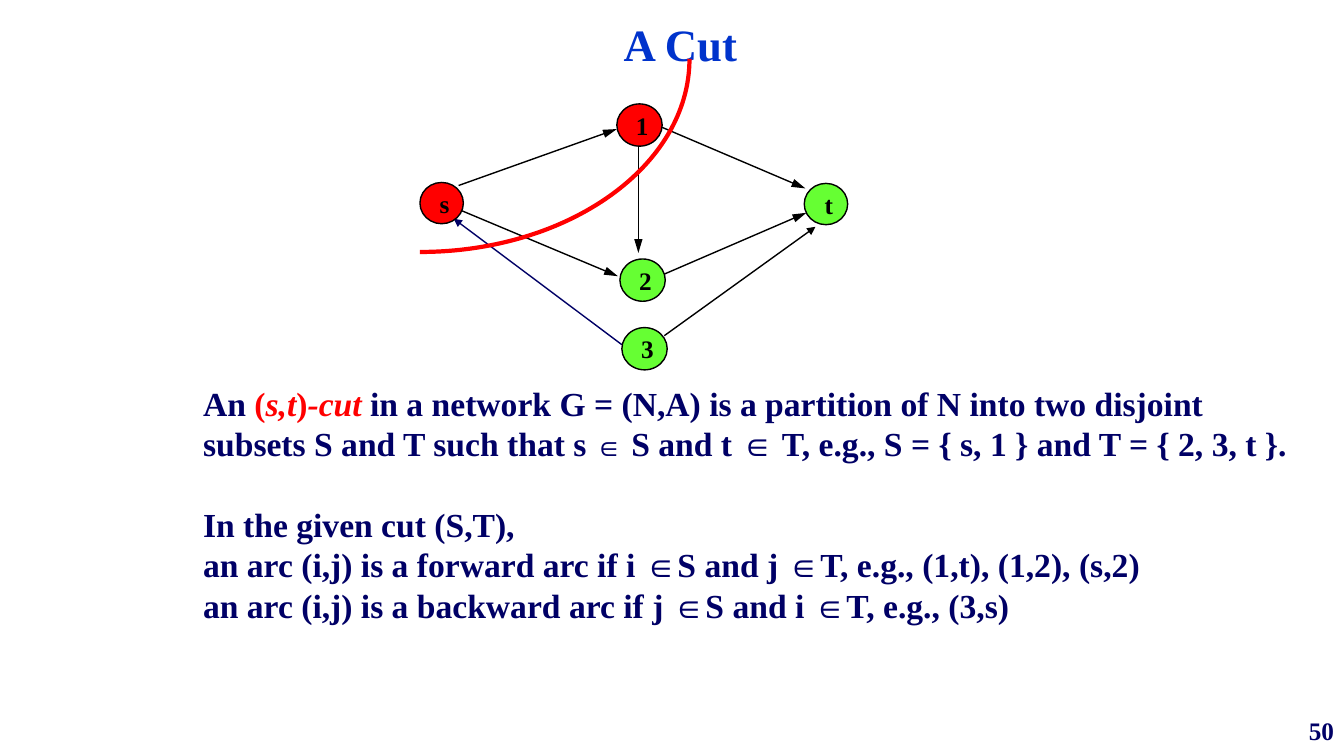
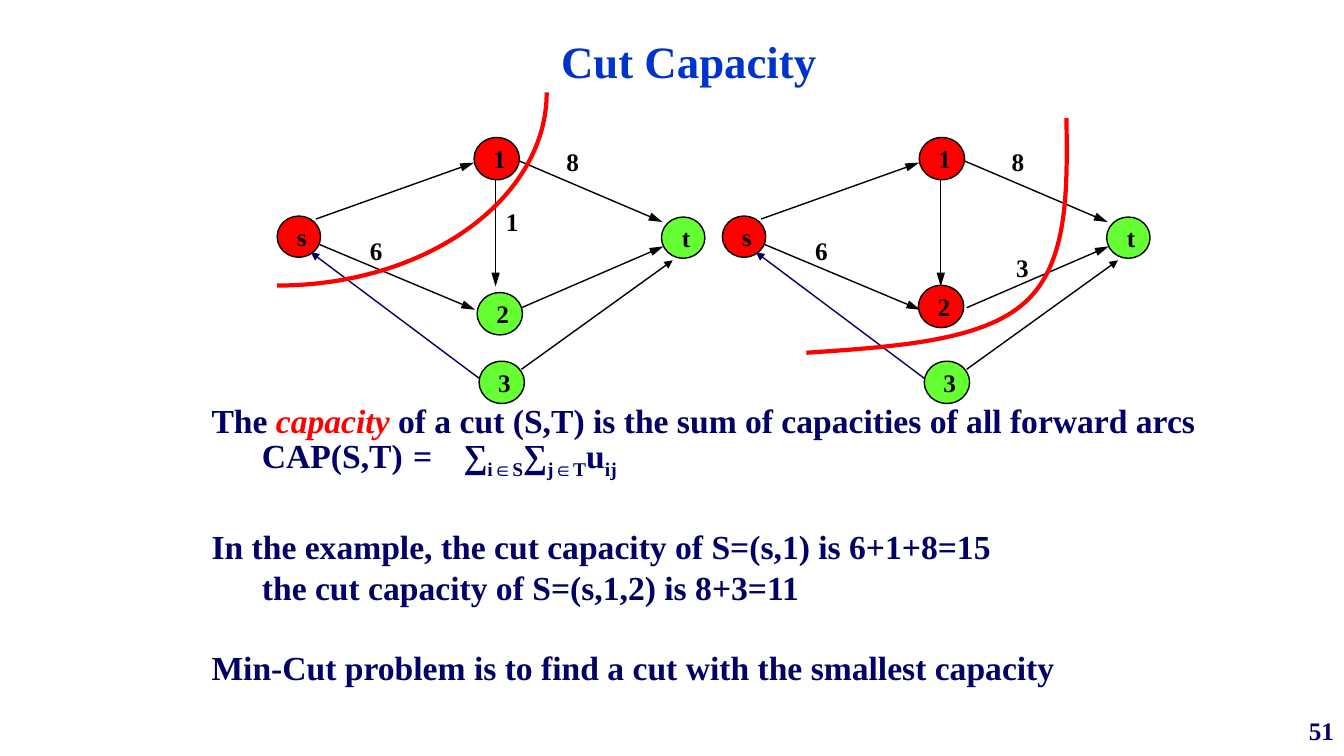
from lxml import etree
from pptx import Presentation
from pptx.dml.color import RGBColor
from pptx.enum import shapes, text
from pptx.oxml.ns import qn
from pptx.util import Pt

NAVY = RGBColor(0x00, 0x00, 0x66)
BLUE = RGBColor(0x00, 0x33, 0xCC)
RED = RGBColor(0xFF, 0x00, 0x00)
GREEN = RGBColor(0x66, 0xFF, 0x33)
BLACK = RGBColor(0x00, 0x00, 0x00)
FONT = "Times New Roman"

# Network layout, relative to the top left corner of each graph
NODES = {  # left, top, width, height
    "s": (0, 88.3, 31, 29.5),
    "1": (140.6, 32.2, 32.4, 30.2),
    "2": (142.8, 143, 32.4, 30.2),
    "t": (274.5, 89, 31, 29.5),
    "3": (144.2, 192, 32.4, 30.2),
}
ARCS = [  # x1, y1, x2, y2, colour, arrowhead length
    (27.6, 90.5, 140.6, 50.2, BLACK, "lg"),
    (29.8, 108.5, 141.4, 155.3, BLACK, "lg"),
    (172.3, 48.7, 275.3, 92.6, BLACK, "lg"),
    (174.5, 153.8, 276, 110, BLACK, "lg"),
    (156, 62.4, 156, 138.7, BLACK, "lg"),
    (174.5, 197.8, 282.5, 120, BLACK, "med"),
    (144.2, 204.2, 24, 114.2, NAVY, "med"),
]
# Start point, then three points for each Bezier segment
CUT_S1 = [(0, 138), (106, 138), (192.5, 76.5), (192.5, 0)]
CUT_S12 = [(245.8, 18.2), (246.5, 70), (247.2, 122), (216.2, 150),
           (185.3, 178), (122.6, 181.7), (60, 186)]
RED_ITALIC = {"color": RED, "italic": True}
SUBSCRIPT = {"baseline": -25000}

SLIDES = [
    {
        "number": "50",
        "title": ("A Cut", (150, 12, 672, 42)),
        "graphs": [
            {"origin": (300, 42), "source_side": "s1", "moved": {},
             "cut": CUT_S1, "capacities": []},
        ],
        "body_box": (138, 270, 798, 181),
        "body": [  # space before, runs
            (0, [("An ", {}), ("(", {"color": RED}), ("s,t", RED_ITALIC),
                 (")", {"color": RED}), ("-cut", RED_ITALIC),
                 (" in a network G = (N,A) is a partition of N into two disjoint "
                  "subsets S and T such that s ", {}),
                 ("∈", {"size": 20}),
                 (" S and t ∈ T, e.g., S = { s, 1 } and T = { 2, 3, t }.", {})]),
            (28.8, [("In the given cut (S,T),", {})]),
            (0, [("an arc (i,j) is a forward arc if i ∈S and j ∈T, "
                  "e.g., (1,t), (1,2), (s,2)", {})]),
            (0, [("an arc (i,j) is a backward arc if j ∈S and i ∈T, e.g., (3,s)", {})]),
        ],
    },
    {
        "number": "51",
        "title": ("Cut Capacity", (44, 24, 896, 42)),
        "graphs": [
            {"origin": (198, 66), "source_side": "s1", "moved": {}, "cut": CUT_S1,
             "capacities": [("8", 206.6, 38.4), ("1", 163.4, 81.6), ("6", 66.2, 101.8)]},
            {"origin": (516, 66), "source_side": "s12",
             "moved": {"2": (140, 137.8, 32.4, 30.2)}, "cut": CUT_S12,
             "capacities": [("8", 206.6, 38.4), ("3", 209.8, 114), ("6", 66.2, 101.8)]},
        ],
        "body_box": (144, 282, 732, 211),
        "body": [
            (0, [("The ", {}), ("capacity", RED_ITALIC),
                 (" of a cut (S,T) is the sum of capacities of all forward arcs", {})]),
            (0, [("\tCAP(S,T)\t=\t∑", {}), ("i∈S", SUBSCRIPT), ("∑", {}),
                 ("j∈T", SUBSCRIPT), ("u", {}), ("ij", SUBSCRIPT)]),
            (32.8, [("In the example, the cut capacity of S=(s,1) is 6+1+8=15", {})]),
            (0, [("\tthe cut capacity of S=(s,1,2) is 8+3=11", {})]),
            (28.8, [("Min-Cut problem is to find a cut with the smallest capacity", {})]),
        ],
    },
]


def write_text(shape, paragraphs, size=18, color=BLACK, align=text.PP_ALIGN.LEFT,
               anchor=text.MSO_ANCHOR.TOP, insets=(0, 0, 0, 0), wrap=False, spacing=None):
    """Fill a shape with (space before, [(text, format), ...]) paragraphs."""
    frame = shape.text_frame
    frame.word_wrap = wrap
    frame.vertical_anchor = anchor
    (frame.margin_left, frame.margin_top,
     frame.margin_right, frame.margin_bottom) = map(Pt, insets)
    for index, (space_before, runs) in enumerate(paragraphs):
        paragraph = frame.add_paragraph() if index else frame.paragraphs[0]
        paragraph.alignment = align
        paragraph.space_before = Pt(space_before)
        if spacing:
            paragraph.line_spacing = Pt(spacing)
        for content, style in runs:
            run = paragraph.add_run()
            run.text = content
            run.font.name = FONT
            run.font.bold = True
            run.font.size = Pt(style.get("size", size))
            run.font.italic = style.get("italic", False)
            run.font.color.rgb = style.get("color", color)
            if "baseline" in style:
                run._r.get_or_add_rPr().set("baseline", str(style["baseline"]))


def draw_curve(slide, points, color, width):
    """Draw an open Bezier curve: a start point, then three points per segment."""
    (start_x, start_y), *others = [(Pt(x), Pt(y)) for x, y in points]
    builder = slide.shapes.build_freeform(start_x, start_y)
    builder.add_line_segments(others, close=False)
    shape = builder.convert_to_shape()
    outline = next(shape._element.iter(qn("a:path")))
    segments = outline.findall(qn("a:lnTo"))
    for first in range(0, len(segments), 3):
        curve = etree.SubElement(outline, qn("a:cubicBezTo"))
        for segment in segments[first:first + 3]:
            curve.append(segment[0])
            outline.remove(segment)
    shape.fill.background()
    shape.line.color.rgb = color
    shape.line.width = Pt(width)
    shape.shadow.inherit = False


presentation = Presentation()
presentation.slide_width = Pt(960)
presentation.slide_height = Pt(540)

for content in SLIDES:
    slide = presentation.slides.add_slide(presentation.slide_layouts[6])

    number_box = slide.shapes.add_textbox(Pt(776), Pt(504), Pt(184), Pt(36))
    write_text(number_box, [(0, [(content["number"], {})])], color=NAVY, wrap=True,
               align=text.PP_ALIGN.RIGHT, anchor=text.MSO_ANCHOR.MIDDLE,
               insets=(7.2, 3.6, 7.2, 3.6))

    title, title_box = content["title"]
    write_text(slide.shapes.add_textbox(*map(Pt, title_box)), [(0, [(title, {})])],
               size=32, color=BLUE, align=text.PP_ALIGN.CENTER, wrap=True,
               anchor=text.MSO_ANCHOR.BOTTOM, insets=(7.2, 3.6, 7.2, 3.6))

    for graph in content["graphs"]:
        left, top = graph["origin"]

        for x1, y1, x2, y2, color, head_length in ARCS:
            arc = slide.shapes.add_connector(
                shapes.MSO_CONNECTOR.STRAIGHT,
                Pt(left + x1), Pt(top + y1), Pt(left + x2), Pt(top + y2))
            arc.line.color.rgb = color
            arc.line.width = Pt(1)
            etree.SubElement(arc.line._get_or_add_ln(), qn("a:tailEnd"),
                             type="triangle", w="med", len=head_length)
            etree.SubElement(arc._element.spPr, qn("a:effectLst"))

        for name, (x, y, width, height) in {**NODES, **graph["moved"]}.items():
            node = slide.shapes.add_shape(shapes.MSO_SHAPE.OVAL, Pt(left + x), Pt(top + y),
                                          Pt(width), Pt(height))
            node.fill.solid()
            node.fill.fore_color.rgb = RED if name in graph["source_side"] else GREEN
            node.line.color.rgb = BLACK
            node.line.width = Pt(1)
            node.shadow.inherit = False
            write_text(node, [(0, [(name, {})])], align=text.PP_ALIGN.CENTER, wrap=True,
                       anchor=text.MSO_ANCHOR.MIDDLE, insets=(4, 0, 0, 0))

        for capacity, x, y in graph["capacities"]:
            label = slide.shapes.add_textbox(Pt(left + x), Pt(top + y), Pt(9.4), Pt(28.8))
            write_text(label, [(0, [(capacity, {})])])

        draw_curve(slide, [(left + x, top + y) for x, y in graph["cut"]], RED, 3)

    body = slide.shapes.add_textbox(*map(Pt, content["body_box"]))
    write_text(body, content["body"], size=24, color=NAVY, wrap=True,
               insets=(7.2, 3.6, 7.2, 3.6), spacing=28.8)

presentation.save("out.pptx")
